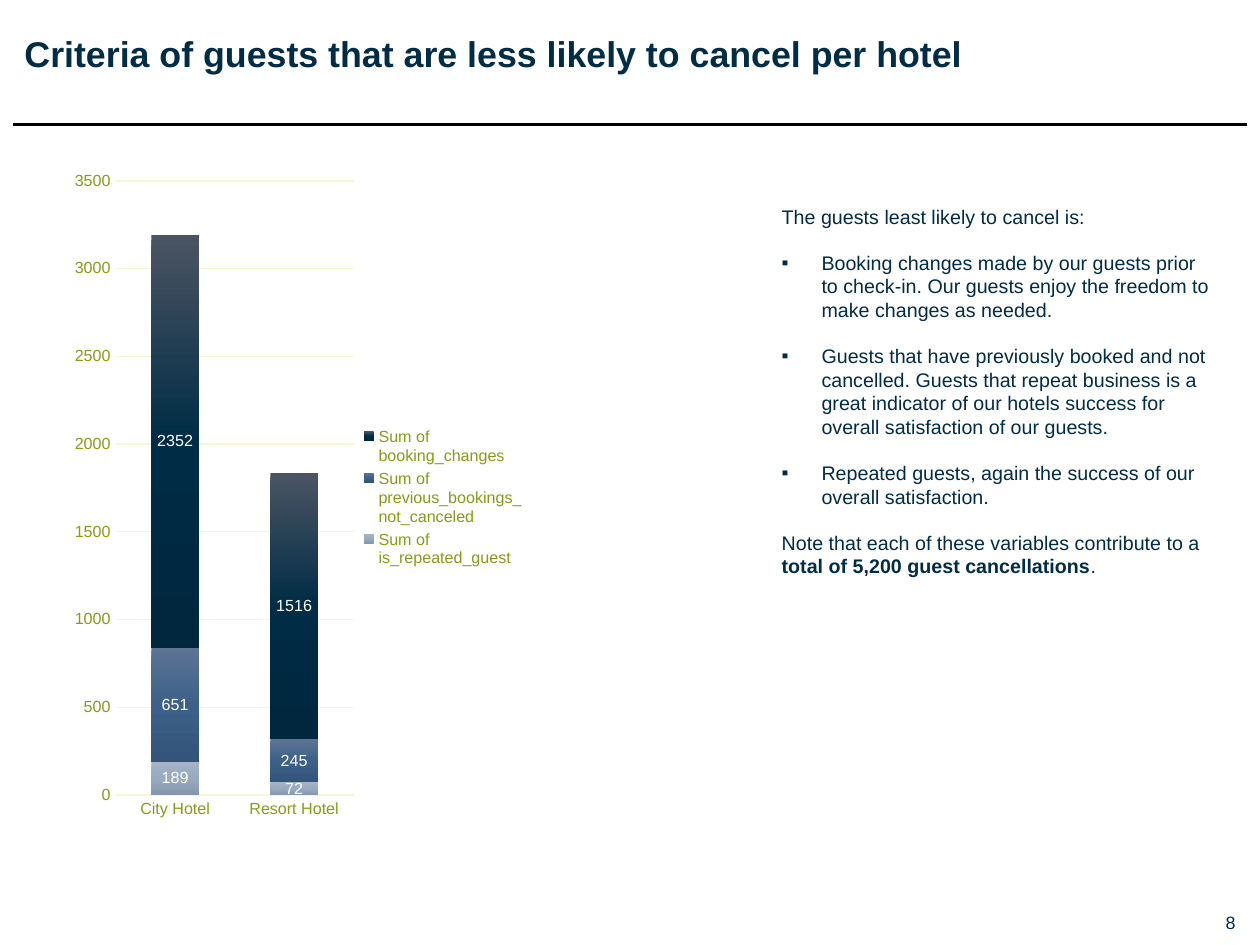
from dataclasses import dataclass

from lxml import etree
from pptx import Presentation
from pptx.chart.data import CategoryChartData
from pptx.dml.color import RGBColor
from pptx.enum import chart as charts, shapes, text
from pptx.oxml import parse_xml
from pptx.oxml.ns import nsdecls, qn
from pptx.util import Inches, Pt


@dataclass(frozen=True)
class Theme:
    font: str = "Arial"
    navy: str = "002C46"
    olive: str = "879C16"
    pale: str = "F3F9D3"
    white: str = "FFFFFF"
    black: str = "000000"
    title: float = 20
    body: float = 11
    number: float = 10
    chart: float = 9
    paragraph_gap: float = 12.65


class HotelSlide:
    def __init__(self, deck, theme):
        self.theme = theme
        self.slide = deck.slides.add_slide(deck.slide_layouts[1])

    def style(self, font, size, color, bold=False):
        font.name, font.size, font.bold = self.theme.font, Pt(size), bold
        font.color.rgb = RGBColor.from_string(color)

    def place(self, shape, box, inset=(0, 0)):
        shape.left, shape.top, shape.width, shape.height = map(Inches, box)
        frame = shape.text_frame
        frame.word_wrap, frame.auto_size = True, text.MSO_AUTO_SIZE.NONE
        frame.vertical_anchor = text.MSO_ANCHOR.TOP
        frame.margin_left = frame.margin_right = Inches(inset[0])
        frame.margin_top = frame.margin_bottom = Inches(inset[1])
        return frame

    def title(self, wording, box):
        frame = self.place(self.slide.shapes.title, box)
        frame.text = wording
        heading = frame.paragraphs[0]
        heading.alignment = text.PP_ALIGN.LEFT
        self.style(heading.font, self.theme.title, self.theme.navy, True)

    def body(self, entries, box):
        """Each entry is (bulleted, [(wording, bold), ...])."""
        frame = self.place(self.slide.placeholders[1], box, (0.1, 0.05))
        for i, (bulleted, pieces) in enumerate(entries):
            entry = frame.add_paragraph() if i else frame.paragraphs[0]
            entry.alignment = text.PP_ALIGN.LEFT
            entry.space_before = Pt(self.theme.paragraph_gap if i else 0)
            self.bullet(entry, bulleted)
            self.style(entry.font, self.theme.body, self.theme.navy)
            for wording, bold in pieces:
                run = entry.add_run()
                run.text = wording
                if bold:
                    run.font.bold = True

    def bullet(self, entry, bulleted):
        props = entry._p.get_or_add_pPr()
        indent = Inches(0.31) if bulleted else 0
        props.set("marL", str(indent))
        props.set("indent", str(-indent))
        if bulleted:
            color = etree.SubElement(props, qn("a:buClr"))
            etree.SubElement(color, qn("a:srgbClr")).set("val", self.theme.navy)
            etree.SubElement(props, qn("a:buFont")).set("typeface", self.theme.font)
            etree.SubElement(props, qn("a:buChar")).set("char", "▪")
        else:
            etree.SubElement(props, qn("a:buNone"))

    def rule(self, left, right, y, width):
        line = self.slide.shapes.add_connector(
            shapes.MSO_CONNECTOR.STRAIGHT,
            *map(Inches, (left, y, right, y)))
        line.line.color.rgb = RGBColor.from_string(self.theme.black)
        line.line.width = Pt(width)
        etree.SubElement(line._element.spPr, qn("a:effectLst"))

    def page_number(self, number, box):
        label = self.slide.shapes.add_textbox(*map(Inches, box))
        frame = self.place(label, box)
        frame.word_wrap = False
        frame.vertical_anchor = text.MSO_ANCHOR.MIDDLE
        frame.text = number
        frame.paragraphs[0].alignment = text.PP_ALIGN.RIGHT
        self.style(frame.paragraphs[0].font, self.theme.number, self.theme.navy)

    def gradient(self, fill, colors):
        fill.gradient()
        fill.gradient_angle = 270
        stops = fill._fill._gradFill.find(qn("a:gsLst"))
        for old in list(stops):
            stops.remove(old)
        for i, color in enumerate(colors):
            stop = etree.SubElement(stops, qn("a:gs"))
            stop.set("pos", str(i * 50000))
            etree.SubElement(stop, qn("a:srgbClr")).set("val", color)

    def layout(self, part, index, target, box):
        """Fix a chart part at fractions of the chart's size."""
        for old in part.findall(qn("c:layout")):
            part.remove(old)
        inner = f'<c:layoutTarget val="{target}"/>' if target else ""
        modes = "".join(f'<c:{k}Mode val="edge"/>' for k in "xy")
        sizes = "".join(f'<c:{k} val="{v}"/>' for k, v in zip("xywh", box))
        part.insert(index, parse_xml(
            f'<c:layout {nsdecls("c")}><c:manualLayout>{inner}{modes}{sizes}'
            '</c:manualLayout></c:layout>'))

    def stacked_columns(self, hotels, series, box):
        """Each series is (name, values, gradient colours)."""
        theme = self.theme
        data = CategoryChartData()
        data.categories = hotels
        for name, values, _ in series:
            data.add_series(name, values)
        chart = self.slide.shapes.add_chart(
            charts.XL_CHART_TYPE.COLUMN_STACKED, *map(Inches, box), data).chart
        chart.has_title = False
        self.style(chart.font, theme.chart, theme.olive)

        # Axes
        counts = chart.value_axis
        counts.minimum_scale, counts.maximum_scale, counts.major_unit = 0, 3500, 500
        counts.format.line.fill.background()
        for axis in (counts, chart.category_axis):
            axis.major_tick_mark = charts.XL_TICK_MARK.NONE
            self.style(axis.tick_labels.font, theme.chart, theme.olive)
        for line in (counts.major_gridlines.format.line,
                     chart.category_axis.format.line):
            line.color.rgb = RGBColor.from_string(theme.pale)
            line.width = Pt(0.75)

        # Columns and their values
        plot = chart.plots[0]
        plot.gap_width, plot.overlap, plot.vary_by_categories = 150, 100, False
        for column, (_, _, colors) in zip(plot.series, series):
            self.gradient(column.format.fill, colors)
            labels = column.data_labels
            labels.show_value = True
            labels.position = charts.XL_LABEL_POSITION.CENTER
            self.style(labels.font, theme.chart, theme.white)

        # Legend and plot positions
        chart.has_legend = True
        legend = chart.legend
        legend.position = charts.XL_LEGEND_POSITION.RIGHT
        legend.include_in_layout = False
        self.style(legend.font, theme.chart, theme.olive)
        self.layout(legend._element, 1, None, (0.64, 0.39, 0.35, 0.22))
        plot_area = chart._chartSpace.chart.plotArea
        self.layout(plot_area, 0, "inner", (0.11, 0.03, 0.51, 0.91))


def main():
    deck = Presentation()
    deck.slide_width, deck.slide_height = Inches(9.8), Inches(7.35)
    page = HotelSlide(deck, Theme())

    # Header and page number
    page.page_number("8", (9.44, 7.09, 0.17, 0.17))
    page.rule(0.1, 9.7, 0.97, 2)
    page.title("Criteria of guests that are less likely to cancel per hotel",
               (0.19, 0.25, 9.43, 0.34))

    # Findings
    page.body([
        (False, [("The guests least likely to cancel is:", False)]),
        (True, [("Booking changes made by our guests prior to check-in. "
                 "Our guests enjoy the freedom to make changes as needed.", False)]),
        (True, [("Guests that have previously booked and not cancelled. "
                 "Guests that repeat business is a great indicator of our hotels "
                 "success for overall satisfaction of our guests.", False)]),
        (True, [("Repeated guests, again the success of our overall "
                 "satisfaction.", False)]),
        (False, [("Note that each of these variables contribute to a ", False),
                 ("total of 5,200 guest cancellations", True), (".", False)]),
    ], (5.98, 1.54, 3.55, 3.3))

    # Guest criteria by hotel
    page.stacked_columns(["City Hotel", "Resort Hotel"], [
        ("Sum of is_repeated_guest", (189, 72),
         ("A5B4C6", "97AAC0", "8497AD")),
        ("Sum of previous_bookings_not_canceled", (651, 245),
         ("5D7494", "3D6088", "33557C")),
        ("Sum of booking_changes", (2352, 1516),
         ("4B5462", "002C46", "00273E")),
    ], (0.5, 1.25, 3.63, 5.25))

    deck.save("out.pptx")


if __name__ == "__main__":
    main()
